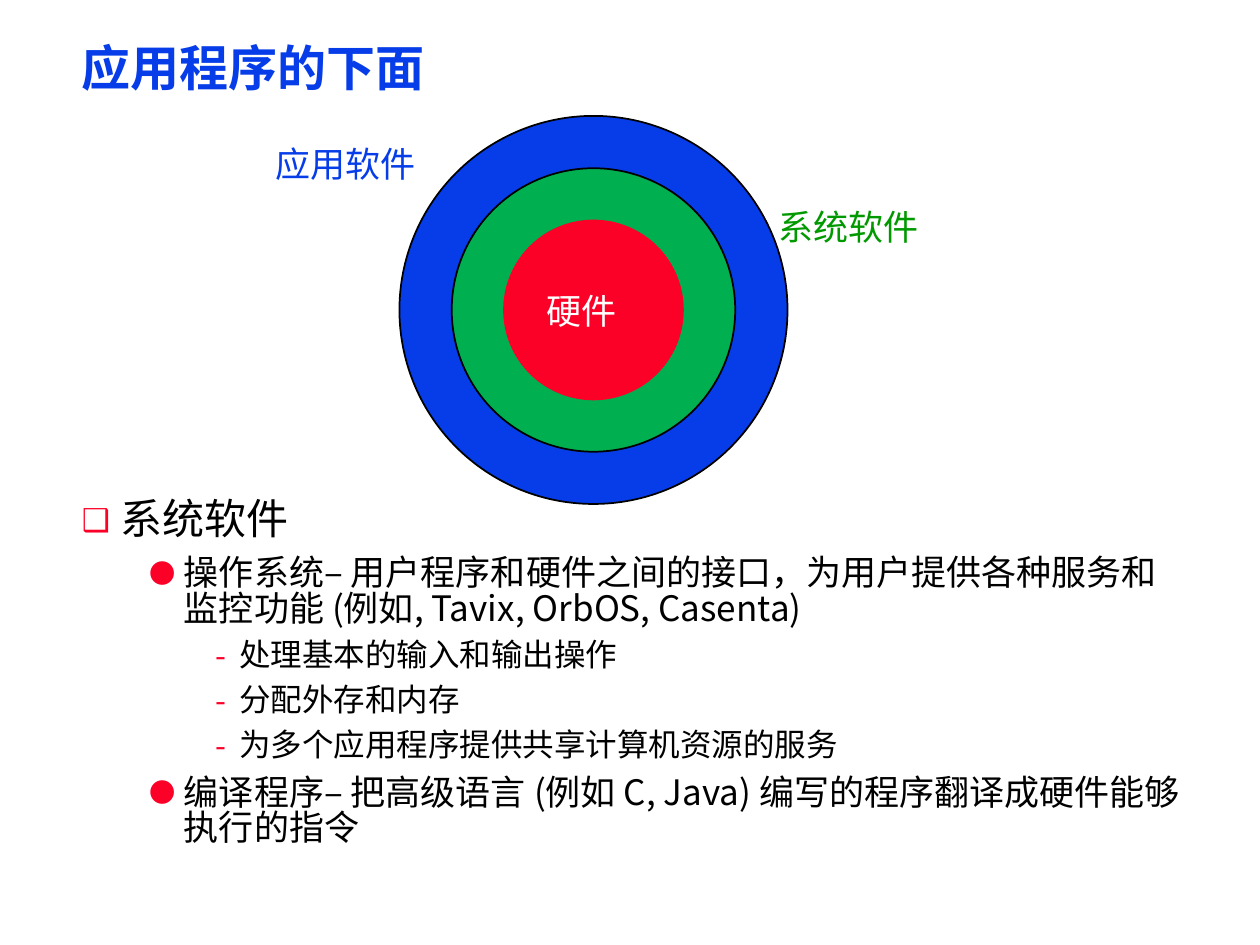
from dataclasses import dataclass

import lxml.etree
import pptx
import pptx.dml.color
import pptx.enum.shapes
import pptx.enum.text
import pptx.oxml.ns
import pptx.util
from pptx.util import Inches


@dataclass(frozen=True)
class Theme:
    font: str = "Noto Sans CJK SC"
    blue: str = "063DE8"
    green: str = "00B050"
    dark_green: str = "009900"
    red: str = "FC0128"
    black: str = "000000"
    white: str = "FFFFFF"
    title_size: int = 28
    label_size: int = 20


@dataclass(frozen=True)
class Ring:
    diameter: float
    fill: str
    line: str


@dataclass(frozen=True)
class Label:
    text: str
    left: float
    top: float
    width: float
    color: str


@dataclass(frozen=True)
class ListLevel:
    size: int
    indent: float
    hanging: float
    line_spacing: float
    before_percent: int
    bullet: str
    bullet_percent: int


THEME = Theme()
CENTER_X, CENTER_Y = 4.71, 2.46
RINGS = [
    Ring(3.08, THEME.blue, THEME.black),
    Ring(2.25, THEME.green, THEME.black),
    Ring(1.42, THEME.red, THEME.red),
]
LABELS = [
    Label("系统软件", 6.08, 1.58, 1.32, THEME.dark_green),
    Label("应用软件", 2.09, 1.08, 1.32, THEME.blue),
    Label("硬件", 4.24, 2.25, 0.76, THEME.white),
]
LEVELS = [
    ListLevel(24, 0.31, 0.31, 0.9, 65, "❑", 75),
    ListLevel(20, 0.81, 0.27, 0.85, 40, "●", 75),
    ListLevel(18, 1.25, 0.19, 0.85, 40, "-", 100),
]
ITEMS = [
    (0, "系统软件"),
    (1, "操作系统– 用户程序和硬件之间的接口，为用户提供各种服务和监控功能 (例如, Tavix, OrbOS, Casenta)"),
    (2, "处理基本的输入和输出操作"),
    (2, "分配外存和内存"),
    (2, "为多个应用程序提供共享计算机资源的服务"),
    (1, "编译程序– 把高级语言 (例如 C, Java) 编写的程序翻译成硬件能够执行的指令"),
]


def rgb(color: str) -> pptx.dml.color.RGBColor:
    return pptx.dml.color.RGBColor.from_string(color)


def add_element(parent, tag: str, **attributes: str):
    return lxml.etree.SubElement(parent, pptx.oxml.ns.qn(tag), attributes)


def format_runs(para, size: int, color: str, bold: bool = False) -> None:
    for span in para.runs:
        span.font.size = pptx.util.Pt(size)
        span.font.bold = bold
        span.font.color.rgb = rgb(color)
        span.font.name = THEME.font
        add_element(span.font._element, "a:ea", typeface=THEME.font)


def place_text(box, left: float, top: float, width: float, height: float) -> None:
    box.left, box.top = Inches(left), Inches(top)
    box.width, box.height = Inches(width), Inches(height)
    frame = box.text_frame
    frame.margin_left = frame.margin_right = Inches(0.07)
    frame.margin_top = frame.margin_bottom = Inches(0.03)
    frame.vertical_anchor = pptx.enum.text.MSO_ANCHOR.TOP
    frame.auto_size = pptx.enum.text.MSO_AUTO_SIZE.SHAPE_TO_FIT_TEXT
    frame.word_wrap = True


def format_list_item(para, level_index: int) -> None:
    level = LEVELS[level_index]
    para.level = level_index
    para.alignment = pptx.enum.text.PP_ALIGN.LEFT
    para.line_spacing = level.line_spacing
    properties = para._p.get_or_add_pPr()
    properties.set("marL", str(Inches(level.indent)))
    properties.set("indent", str(-Inches(level.hanging)))
    before = add_element(properties, "a:spcBef")
    add_element(before, "a:spcPct", val=str(level.before_percent * 1000))
    bullet_color = add_element(properties, "a:buClr")
    add_element(bullet_color, "a:srgbClr", val=THEME.red)
    add_element(properties, "a:buSzPct", val=str(level.bullet_percent * 1000))
    add_element(properties, "a:buFont", typeface=THEME.font)
    add_element(properties, "a:buChar", char=level.bullet)
    format_runs(para, level.size, THEME.black)


def add_ring(page, ring: Ring) -> None:
    size = Inches(ring.diameter)
    circle = page.shapes.add_shape(
        pptx.enum.shapes.MSO_SHAPE.OVAL,
        Inches(CENTER_X - ring.diameter / 2), Inches(CENTER_Y - ring.diameter / 2), size, size)
    circle.shadow.inherit = False
    circle.fill.solid()
    circle.fill.fore_color.rgb = rgb(ring.fill)
    circle.line.color.rgb = rgb(ring.line)
    circle.line.width = pptx.util.Pt(1)


def add_label(page, label: Label) -> None:
    box = page.shapes.add_textbox(
        Inches(label.left), Inches(label.top), Inches(label.width), Inches(0.44))
    frame = box.text_frame
    frame.word_wrap = False
    frame.auto_size = pptx.enum.text.MSO_AUTO_SIZE.SHAPE_TO_FIT_TEXT
    frame.text = label.text
    format_runs(frame.paragraphs[0], THEME.label_size, label.color)


def main() -> None:
    deck = pptx.Presentation()
    deck.slide_width, deck.slide_height = Inches(10), Inches(7.5)
    page = deck.slides.add_slide(deck.slide_layouts[1])

    # Title
    title = page.shapes.title
    place_text(title, 0.58, 0.33, 8.92, 0.46)
    title.text_frame.text = "应用程序的下面"
    heading = title.text_frame.paragraphs[0]
    heading.alignment = pptx.enum.text.PP_ALIGN.LEFT
    heading.line_spacing = 0.87
    format_runs(heading, THEME.title_size, THEME.blue, bold=True)

    # Bulleted list
    body = page.placeholders[1]
    place_text(body, 0.58, 3.92, 8.92, 2.97)
    body.text_frame.text = "\n".join(text for _, text in ITEMS)
    for para, (level_index, _) in zip(body.text_frame.paragraphs, ITEMS):
        format_list_item(para, level_index)

    # Concentric layers and their labels
    for ring in RINGS:
        add_ring(page, ring)
    for label in LABELS:
        add_label(page, label)

    deck.save("out.pptx")


if __name__ == "__main__":
    main()
